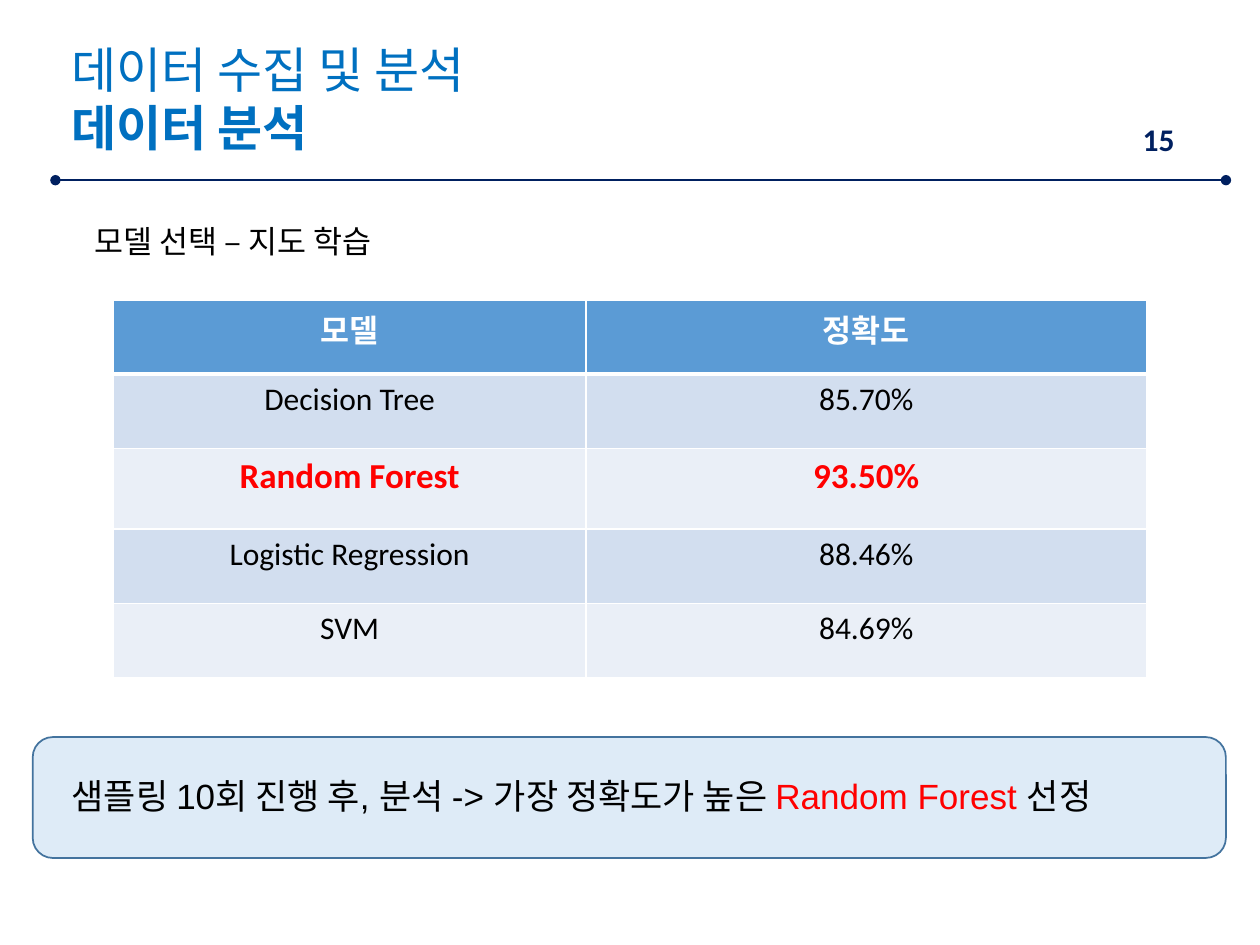
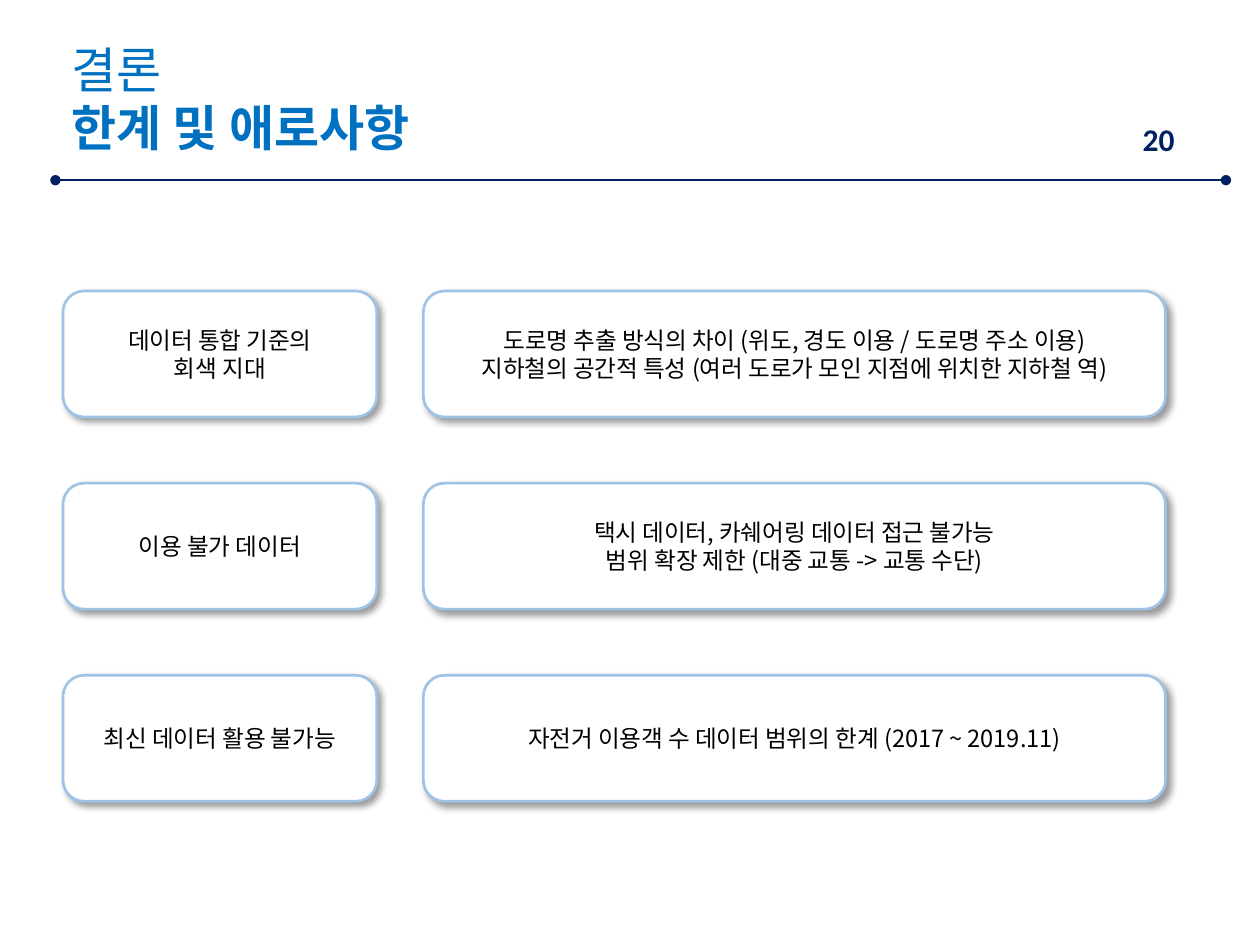
from dataclasses import dataclass

from lxml import etree
from pptx import Presentation
from pptx.dml.color import RGBColor
from pptx.enum.shapes import MSO_CONNECTOR, MSO_SHAPE
from pptx.enum.text import MSO_ANCHOR, MSO_AUTO_SIZE, PP_ALIGN
from pptx.oxml.ns import qn
from pptx.util import Inches, Pt

ROUNDED = MSO_SHAPE.ROUNDED_RECTANGLE
STRAIGHT = MSO_CONNECTOR.STRAIGHT
TOP, MIDDLE = MSO_ANCHOR.TOP, MSO_ANCHOR.MIDDLE
LEFT, CENTER = PP_ALIGN.LEFT, PP_ALIGN.CENTER
NO_AUTOFIT = MSO_AUTO_SIZE.NONE
TITLE_ONLY = 5


@dataclass(frozen=True)
class Theme:
    title: str = "0070C0"
    navy: str = "002060"
    black: str = "000000"
    white: str = "FFFFFF"
    highlight: str = "FF0000"
    table_header: str = "5B9BD5"
    bands: tuple = ("D2DEEF", "EAEFF7")
    summary_fill: str = "DEEBF7"
    summary_line: str = "43739E"
    card_line: str = "9DC3E6"
    heading_font: str = "Calibri"
    body_font: str = "Arial"
    korean_font: str = "Noto Sans CJK KR"
    title_size: float = 28
    body_size: float = 18
    summary_size: float = 20
    card_size: float = 13.5


THEME = Theme()

MODELS = [
    ("모델", "정확도"),
    ("Decision Tree", "85.70%"),
    ("Random Forest", "93.50%"),
    ("Logistic Regression", "88.46%"),
    ("SVM", "84.69%"),
]
BEST_ROW = 2

LIMITS = [
    (["데이터 통합 기준의", "회색 지대"],
     ["도로명 추출 방식의 차이 (위도, 경도 이용 / 도로명 주소 이용)",
      "지하철의 공간적 특성 (여러 도로가 모인 지점에 위치한 지하철 역)"]),
    (["이용 불가 데이터"],
     ["택시 데이터, 카쉐어링 데이터 접근 불가능",
      "범위 확장 제한 (대중 교통 -> 교통 수단)"]),
    (["최신 데이터 활용 불가능"],
     ["자전거 이용객 수 데이터 범위의 한계 (2017 ~ 2019.11)"]),
]


# Shared helpers
def color(value):
    return RGBColor.from_string(value)


def format_run(run, font, size, value, bold=False):
    run.font.size = Pt(size)
    run.font.bold = bold
    run.font.color.rgb = color(value)
    run.font.name = font
    east_asian = etree.SubElement(run.font._element, qn("a:ea"))
    east_asian.set("typeface", THEME.korean_font)


def write_lines(text_frame, lines, font, size, value, bold=False, align=LEFT):
    text_frame.word_wrap = True
    text_frame.text = "\n".join(lines)
    for paragraph in text_frame.paragraphs:
        paragraph.alignment = align
        for run in paragraph.runs:
            format_run(run, font, size, value, bold)


def add_text(slide, box, lines, font, size, value, bold=False):
    text_box = slide.shapes.add_textbox(*map(Inches, box))
    write_lines(text_box.text_frame, lines, font, size, value, bold)
    return text_box


def add_rounded_box(slide, box, fill, line, line_width):
    shape = slide.shapes.add_shape(ROUNDED, *map(Inches, box))
    shape.shadow.inherit = False
    shape.fill.solid()
    shape.fill.fore_color.rgb = color(fill)
    shape.line.color.rgb = color(line)
    shape.line.width = Pt(line_width)
    return shape


def add_soft_shadow(shape):
    effects = shape._element.spPr.find(qn("a:effectLst"))
    shadow = etree.SubElement(effects, qn("a:outerShdw"), blurRad=str(Pt(4)),
                              dist=str(Pt(3)), dir=str(45 * 60000),
                              algn="tl", rotWithShape="0")
    shade = etree.SubElement(shadow, qn("a:srgbClr"), val=THEME.black)
    etree.SubElement(shade, qn("a:alpha"), val="40000")


# Header: rule with round ends, page number and two-line title
def add_header(slide, page, section, topic, title_width):
    rule = slide.shapes.add_connector(
        STRAIGHT, *map(Inches, (0.44, 1.43, 9.73, 1.43)))
    rule.line.color.rgb = color(THEME.navy)
    rule.line.width = Pt(1.25)
    line = rule.line._get_or_add_ln()
    for end in ("a:headEnd", "a:tailEnd"):
        etree.SubElement(line, qn(end), type="oval")
    etree.SubElement(rule._element.spPr, qn("a:effectLst"))

    add_text(slide, (8.97, 0.9, 0.56, 0.4), [page], THEME.heading_font,
             THEME.body_size, THEME.navy, bold=True)

    title = slide.shapes.title
    title.left, title.top, title.width, title.height = map(
        Inches, (0.47, 0.26, title_width, 1.04))
    text_frame = title.text_frame
    text_frame.auto_size = NO_AUTOFIT
    text_frame.vertical_anchor = TOP
    write_lines(text_frame, [section, topic], THEME.heading_font,
                THEME.title_size, THEME.title)
    text_frame.paragraphs[1].runs[0].font.bold = True


# Model accuracy table
def set_borders(cell, top_width, bottom_width):
    properties = cell._tc.get_or_add_tcPr()
    widths = {"L": 1, "R": 1, "T": top_width, "B": bottom_width}
    for side, width in widths.items():
        border = etree.SubElement(properties, qn(f"a:ln{side}"),
                                  w=str(Pt(width)))
        fill = etree.SubElement(border, qn("a:solidFill"))
        etree.SubElement(fill, qn("a:srgbClr"), val=THEME.white)


def add_model_table(slide, box):
    table = slide.shapes.add_table(
        len(MODELS), len(MODELS[0]), *map(Inches, box)).table
    table.horz_banding = False
    for column, width in zip(table.columns, (3.75, 4.45)):
        column.width = Inches(width)
    for row_index, values in enumerate(MODELS):
        header, best = row_index == 0, row_index == BEST_ROW
        table.rows[row_index].height = Inches(0.64 if best else 0.59)
        size = THEME.summary_size if best else THEME.body_size
        text_color = (THEME.white if header else
                      THEME.highlight if best else THEME.black)
        fill = THEME.table_header if header else THEME.bands[(row_index - 1) % 2]
        for column_index, value in enumerate(values):
            cell = table.cell(row_index, column_index)
            set_borders(cell, 3 if row_index == 1 else 1, 3 if header else 1)
            cell.fill.solid()
            cell.fill.fore_color.rgb = color(fill)
            write_lines(cell.text_frame, [value], THEME.heading_font, size,
                        text_color, header or best, CENTER)


# Summary band with the chosen model in red
def add_summary(slide, box):
    left, top, width, height = box
    add_rounded_box(slide, box, THEME.summary_fill, THEME.summary_line, 1)
    text_box = slide.shapes.add_textbox(
        *map(Inches, (left + 0.21, top + 0.25, width - 0.34, height - 0.52)))
    text_box.text_frame.word_wrap = True
    paragraph = text_box.text_frame.paragraphs[0]
    for text, value in (
            ("샘플링 10회 진행 후, 분석 -> 가장 정확도가 높은 ", THEME.black),
            ("Random Forest ", THEME.highlight),
            ("선정", THEME.black)):
        run = paragraph.add_run()
        run.text = text
        format_run(run, THEME.body_font, THEME.summary_size, value)


# Rows of paired cards: limitation and explanation
def add_limit_cards(slide, box):
    left, top, width, height = box
    card_height, topic_width, gap = 1, 2.49, 0.37
    pitch = (height - card_height) / (len(LIMITS) - 1)
    detail_left = left + topic_width + gap
    columns = [(left, topic_width), (detail_left, left + width - detail_left)]
    for row_index, row in enumerate(LIMITS):
        card_top = top + row_index * pitch
        for (card_left, card_width), lines in zip(columns, row):
            card = add_rounded_box(
                slide, (card_left, card_top, card_width, card_height),
                THEME.white, THEME.card_line, 1.5)
            add_soft_shadow(card)
            card.text_frame.vertical_anchor = MIDDLE
            write_lines(card.text_frame, lines, THEME.korean_font,
                        THEME.card_size, THEME.black, align=CENTER)


# Slides
def add_slide(presentation):
    return presentation.slides.add_slide(presentation.slide_layouts[TITLE_ONLY])


def build_analysis_slide(presentation):
    slide = add_slide(presentation)
    add_header(slide, "15", "데이터 수집 및 분석", "데이터 분석", 3.86)
    add_text(slide, (0.65, 1.71, 2.71, 0.4), ["모델 선택 – 지도 학습"],
             THEME.body_font, THEME.body_size, THEME.black)
    add_model_table(slide, (0.9, 2.38, 8.2, 3))
    add_summary(slide, (0.26, 5.85, 9.47, 0.96))


def build_limits_slide(presentation):
    slide = add_slide(presentation)
    add_header(slide, "20", "결론", "한계 및 애로사항", 3.41)
    add_limit_cards(slide, (0.5, 2.31, 8.75, 4.05))


def main():
    presentation = Presentation()
    presentation.slide_width = Inches(10)
    presentation.slide_height = Inches(7.5)
    build_analysis_slide(presentation)
    build_limits_slide(presentation)
    presentation.save("out.pptx")


if __name__ == "__main__":
    main()
